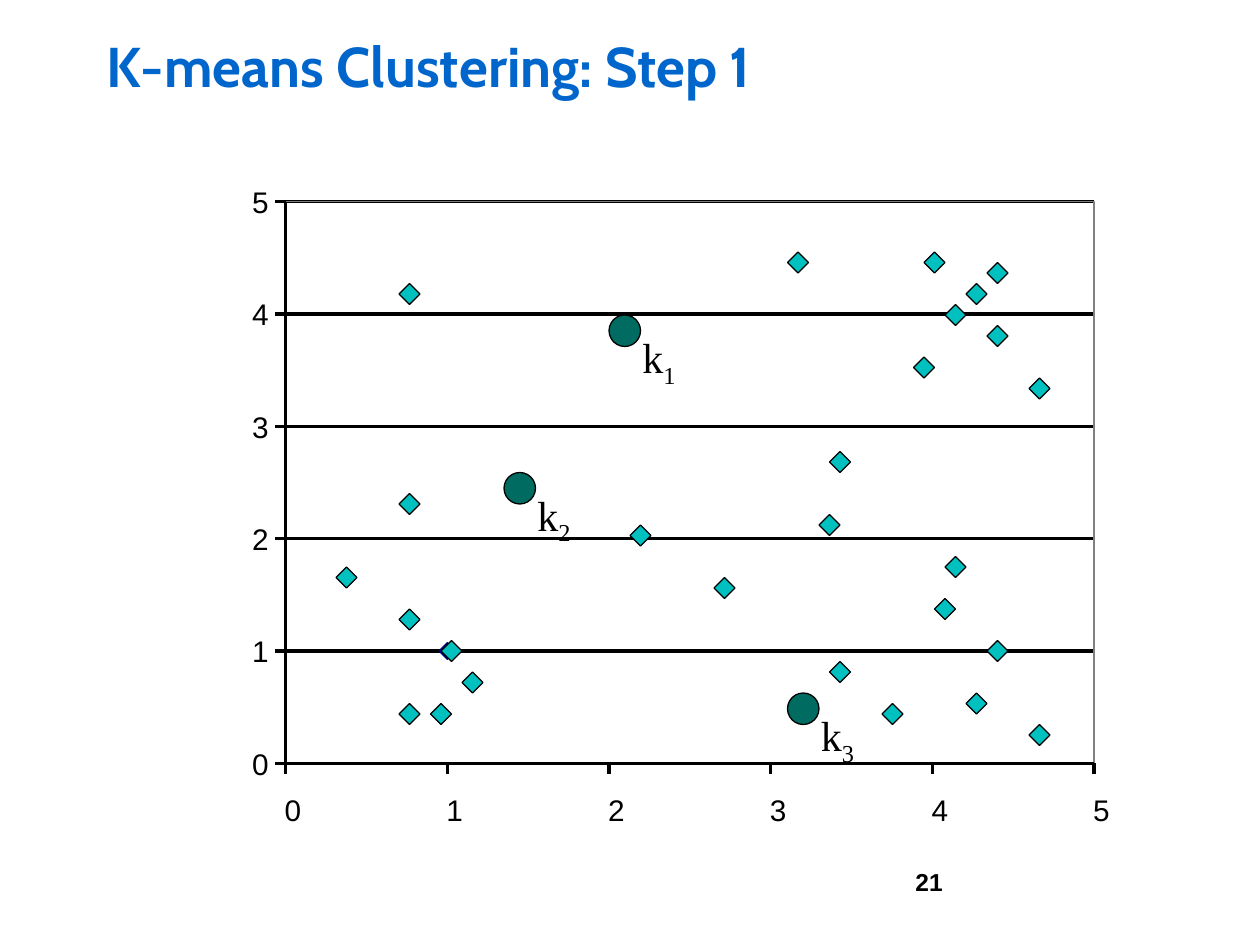
from dataclasses import dataclass

from lxml import etree
from pptx import Presentation
from pptx import util as u
from pptx.dml.color import RGBColor
from pptx.enum import shapes, text
from pptx.oxml.ns import qn

PX = u.Inches(1) // 120

BLACK = RGBColor(0x00, 0x00, 0x00)
WHITE = RGBColor(0xFF, 0xFF, 0xFF)
GRAY = RGBColor(0x80, 0x80, 0x80)
NAVY = RGBColor(0x00, 0x00, 0x80)
TURQUOISE = RGBColor(0x00, 0xC0, 0xC0)
TEAL = RGBColor(0x00, 0x6B, 0x61)
BLUE = RGBColor(0x00, 0x66, 0xCC)


@dataclass(frozen=True)
class Box:
    left: int
    top: int
    width: int
    height: int

    def emu(self) -> list[int]:
        return [value * PX for value in (self.left, self.top, self.width, self.height)]


@dataclass(frozen=True)
class Centroid:
    number: int
    left: int
    top: int


UNITS = 5
STEP_X, STEP_Y = 154, 107
PLOT = Box(272, 192, UNITS * STEP_X, UNITS * STEP_Y)
RIGHT = PLOT.left + PLOT.width
BOTTOM = PLOT.top + PLOT.height
TICK = 10
POINT_SIZE = 20
CENTROID_SIZE = 30

POINTS = [
    (420, 610), (440, 640), (410, 670), (380, 580), (380, 270), (380, 470),
    (380, 670), (320, 540), (600, 500), (880, 240), (940, 250), (920, 270),
    (900, 290), (940, 310), (980, 360), (750, 240), (790, 430), (790, 630),
    (840, 670), (890, 570), (780, 490), (680, 550), (940, 610), (920, 660),
    (900, 530), (980, 690), (870, 340),
]
CENTROIDS = [Centroid(1, 580, 300), Centroid(2, 480, 450), Centroid(3, 750, 660)]


def style_shape(shape, fill: RGBColor | None, line: RGBColor | None, width: float) -> None:
    shape.shadow.inherit = False
    if fill is None:
        shape.fill.background()
    else:
        shape.fill.solid()
        shape.fill.fore_color.rgb = fill
    if line is None:
        shape.line.fill.background()
    else:
        shape.line.color.rgb = line
        shape.line.width = u.Pt(width)


def add_figure(container, kind, box: Box, fill: RGBColor | None = None,
               line: RGBColor | None = BLACK, width: float = 0.75) -> None:
    shape = container.add_shape(kind, *box.emu())
    style_shape(shape, fill, line, width)


def add_line(container, x1: int, y1: int, x2: int, y2: int) -> None:
    connector = container.add_connector(
        shapes.MSO_CONNECTOR.STRAIGHT, x1 * PX, y1 * PX, x2 * PX, y2 * PX)
    connector.line.color.rgb = BLACK
    connector.line.width = u.Pt(0)
    etree.SubElement(connector._element.spPr, qn("a:effectLst"))


def add_text(container, box: Box, content: str, *, size: int, font: str = "Arial",
             color: RGBColor = BLACK, bold: bool = False, subscript: str = "",
             align=text.PP_ALIGN.LEFT, anchor=text.MSO_ANCHOR.TOP,
             wrap: bool = True, inset: bool = True, grow: bool = False,
             line_spacing: int | None = None) -> None:
    frame = container.add_textbox(*box.emu()).text_frame
    frame.word_wrap = wrap
    frame.vertical_anchor = anchor
    if grow:
        frame.auto_size = text.MSO_AUTO_SIZE.SHAPE_TO_FIT_TEXT
    if not inset:
        frame.margin_left = frame.margin_right = 0
        frame.margin_top = frame.margin_bottom = 0
    paragraph = frame.paragraphs[0]
    paragraph.alignment = align
    if line_spacing:
        paragraph.line_spacing = u.Pt(line_spacing)
    for part in filter(None, (content, subscript)):
        run = paragraph.add_run()
        run.text = part
        run.font.size = u.Pt(size)
        run.font.name = font
        run.font.bold = bold
        run.font.color.rgb = color
    if subscript:
        run._r.get_or_add_rPr().set("baseline", "-25000")


def add_axis_label(container, left: int, top: int, value: int) -> None:
    add_text(container, Box(left, top, 28, 37), str(value), size=17,
             align=text.PP_ALIGN.CENTER, wrap=False, inset=False, grow=True)


def add_plot(container) -> None:
    rectangle = shapes.MSO_SHAPE.RECTANGLE
    rows = [BOTTOM - value * STEP_Y for value in range(UNITS + 1)]
    columns = [PLOT.left + value * STEP_X for value in range(UNITS + 1)]
    add_figure(container, rectangle, PLOT, fill=WHITE, line=None)
    for y in rows[1:]:
        add_line(container, PLOT.left, y, RIGHT, y)
    add_figure(container, rectangle, PLOT, line=GRAY, width=0.63)
    add_line(container, PLOT.left, PLOT.top, PLOT.left, BOTTOM)
    add_line(container, PLOT.left, BOTTOM, RIGHT, BOTTOM)
    for value, (x, y) in enumerate(zip(columns, rows)):
        add_line(container, PLOT.left - TICK, y, PLOT.left, y)
        add_line(container, x, BOTTOM + TICK, x, BOTTOM)
        add_axis_label(container, 234, y - 17, value)
        add_axis_label(container, x - 7, 754, value)


def add_series_marker(container) -> None:
    x, y, radius = PLOT.left + STEP_X, BOTTOM - STEP_Y, 8
    builder = container.build_freeform(x, y - radius, scale=PX)
    builder.add_line_segments([(x + radius, y), (x, y + radius), (x - radius, y)])
    style_shape(builder.convert_to_shape(), NAVY, NAVY, 0.63)


def add_centroid(container, centroid: Centroid) -> None:
    group = container.add_group_shape().shapes
    add_figure(group, shapes.MSO_SHAPE.OVAL,
               Box(centroid.left, centroid.top, CENTROID_SIZE, CENTROID_SIZE), fill=TEAL)
    add_text(group, Box(centroid.left + 20, centroid.top + 10, 70, 60), "k",
             subscript=str(centroid.number), size=24, font="Times New Roman", grow=True)


def main() -> None:
    presentation = Presentation()
    presentation.slide_width = u.Inches(10)
    presentation.slide_height = u.Inches(7.5)
    slide = presentation.slides.add_slide(presentation.slide_layouts[6])
    container = slide.shapes

    add_text(container, Box(860, 820, 280, 62), "21", size=14, bold=True)
    add_plot(container)
    add_series_marker(container)
    add_text(container, Box(90, 30, 1020, 70), "K-means Clustering: Step 1",
             size=32, font="Cabin", color=BLUE, bold=True,
             anchor=text.MSO_ANCHOR.BOTTOM, line_spacing=36)
    for left, top in POINTS:
        add_figure(container, shapes.MSO_SHAPE.DIAMOND,
                   Box(left, top, POINT_SIZE, POINT_SIZE), fill=TURQUOISE)
    for centroid in CENTROIDS:
        add_centroid(container, centroid)

    presentation.save("out.pptx")


if __name__ == "__main__":
    main()
